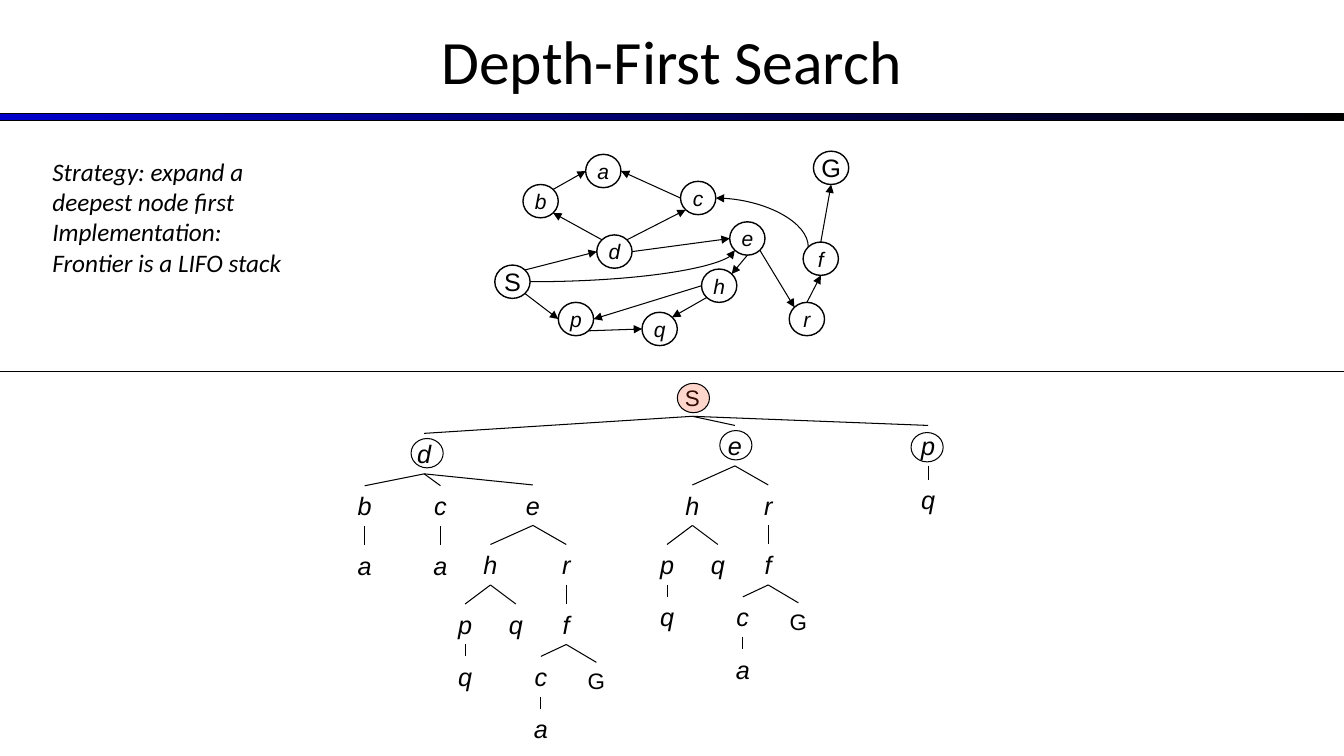
from math import cos, radians, sin

from lxml import etree
from pptx import Presentation
from pptx import util as u
from pptx.dml.color import RGBColor
from pptx.enum import shapes, text
from pptx.oxml.ns import qn

COLORS = {"ink": "000000", "bar": "0000CC", "start": "FF3300"}
WIDTH, HEIGHT = 33.87, 19.05

TITLE = "Depth-First Search"
STRATEGY = [
    "Strategy: expand a deepest node first",
    "Implementation: Frontier is a LIFO stack",
]

NODE_W, NODE_H = 0.89, 0.84
GRAPH_NODES = {
    "S": (12.47, 6.68), "G": (20.5, 3.81), "d": (15.04, 5.92), "b": (13.18, 4.65),
    "p": (14.07, 7.62), "q": (16.18, 7.87), "c": (17.15, 4.57), "e": (18.39, 5.59),
    "h": (17.68, 6.78), "a": (14.76, 3.89), "f": (20.24, 6.1), "r": (19.89, 7.62),
}
SITES = ["top", "top left", "left", "bottom left",
         "bottom", "bottom right", "right", "top right"]
STRAIGHT_EDGES = [
    ("S", "bottom right", "p", "left"),
    ("p", "bottom right", "q", "left"),
    ("h", "bottom left", "q", "top right"),
    ("h", "left", "p", "right"),
    ("e", "bottom", "h", "top right"),
    ("e", "bottom right", "r", "top left"),
    ("r", "top", "f", "bottom"),
    ("f", "top", "G", "bottom"),
    ("S", "top right", "d", "left"),
    ("d", "top left", "b", "bottom right"),
    ("b", "top right", "a", "left"),
    ("c", "left", "a", "right"),
    ("d", "top right", "c", "bottom left"),
    ("d", "right", "e", "left"),
]
CURVED_EDGES = [
    ("c", "right", "f", "top left", "headEnd"),
    ("S", "right", "e", "bottom left", "tailEnd"),
]

E_BRANCHES = [
    ("h", -1.07, 1.5, [
        ("p", -0.64, 1.5, [("q", 0, 1.32, [])]),
        ("q", 0.64, 1.5, []),
    ]),
    ("r", 0.84, 1.5, [
        ("f", 0, 1.5, [
            ("c", -0.64, 1.32, [("a", 0, 1.32, [])]),
            ("G", 0.76, 1.47, []),
        ]),
    ]),
]
SEARCH_TREE = ("S", 17.45, 9.55, [
    ("d", -6.76, 1.37, [
        ("b", -1.5, 1.32, [("a", 0, 1.5, [])]),
        ("c", 0.41, 1.32, [("a", 0, 1.5, [])]),
        ("e", 2.74, 1.3, E_BRANCHES),
    ]),
    ("e", 1.07, 1.17, E_BRANCHES),
    ("p", 5.94, 1.17, [("q", 0, 1.37, [])]),
])
TREE_RINGS = {"S": (17.07, 9.66), "d": (10.36, 11.05),
              "e": (18.14, 10.85), "p": (22.96, 10.9)}


def color(name):
    return RGBColor.from_string(COLORS[name])


def style(paragraph, size, font="Arial", italic=False, align=text.PP_ALIGN.CENTER):
    paragraph.alignment = align
    paragraph.font.size = u.Pt(size)
    paragraph.font.name = font
    paragraph.font.italic = italic
    paragraph.font.color.rgb = color("ink")


def outlined(kind, left, top, width, height, weight):
    shape = slide.shapes.add_shape(kind, u.Cm(left), u.Cm(top), u.Cm(width), u.Cm(height))
    shape.shadow.inherit = False
    shape.fill.background()
    shape.line.color.rgb = color("ink")
    shape.line.width = u.Pt(weight)
    return shape


def connect(start, end, kind=shapes.MSO_CONNECTOR.STRAIGHT, arrow=None):
    line = slide.shapes.add_connector(kind, *(u.Cm(v) for v in (*start, *end)))
    line.line.color.rgb = color("ink")
    line.line.width = u.Pt(0.75)
    if arrow:
        etree.SubElement(line.line._get_or_add_ln(), qn(f"a:{arrow}"), type="triangle")
    etree.SubElement(line._element.spPr, qn("a:effectLst"))
    return line


def site_point(node, site):
    left, top = GRAPH_NODES[node]
    angle = radians(90 + 45 * SITES.index(site))
    return (left + NODE_W / 2 * (1 + cos(angle)), top + NODE_H / 2 * (1 - sin(angle)))


def graph_edge(origin, origin_site, target, target_site, arrow="tailEnd",
               kind=shapes.MSO_CONNECTOR.STRAIGHT):
    edge = connect(site_point(origin, origin_site), site_point(target, target_site),
                   kind, arrow)
    joints = edge._element.nvCxnSpPr.cNvCxnSpPr
    for tag, node, site in (("stCxn", origin, origin_site), ("endCxn", target, target_site)):
        etree.SubElement(joints, qn(f"a:{tag}"), id=str(circles[node].shape_id),
                         idx=str(SITES.index(site)))
    return edge


def draw_tree(label, x, top, branches):
    goal_or_start = label.isupper()
    width, height, size = (2.11, 0.94, 16) if goal_or_start else (1.07, 1.02, 18)
    box = slide.shapes.add_textbox(u.Cm(x - width / 2), u.Cm(top), u.Cm(width), u.Cm(height))
    box.text_frame.word_wrap = True
    box.text_frame.text = label
    style(box.text_frame.paragraphs[0], size, italic=not goal_or_start)
    for child, dx, dy, grandchildren in branches:
        connect((x, top + height), (x + dx, top + dy))
        draw_tree(child, x + dx, top + dy, grandchildren)


deck = Presentation()
deck.slide_width, deck.slide_height = u.Cm(WIDTH), u.Cm(HEIGHT)
slide = deck.slides.add_slide(deck.slide_layouts[5])

bar = outlined(shapes.MSO_SHAPE.RECTANGLE, 0, 2.87, WIDTH, 0.18, 0.75)
bar.fill.gradient()
bar.fill.gradient_angle = 0
for stop, name in zip(bar.fill.gradient_stops, ("bar", "ink")):
    stop.color.rgb = color(name)

title = slide.shapes.title
title.left, title.top, title.width, title.height = (
    u.Cm(v) for v in (0, -0.08, WIDTH, 3.18))
title.text_frame.text = TITLE
title.text_frame.vertical_anchor = text.MSO_ANCHOR.MIDDLE
style(title.text_frame.paragraphs[0], 44, "Calibri")

draw_tree(*SEARCH_TREE)

circles = {}
for label, (left, top) in GRAPH_NODES.items():
    circle = outlined(shapes.MSO_SHAPE.FLOWCHART_CONNECTOR, left, top, NODE_W, NODE_H, 1)
    frame = circle.text_frame
    frame.margin_left = frame.margin_right = frame.margin_top = frame.margin_bottom = 0
    frame.word_wrap = False
    frame.vertical_anchor = text.MSO_ANCHOR.MIDDLE
    frame.text = label
    style(frame.paragraphs[0], 18 if label.isupper() else 15, italic=label.islower())
    circles[label] = circle

for edge in STRAIGHT_EDGES:
    graph_edge(*edge)
for edge in CURVED_EDGES:
    curve = graph_edge(*edge, kind=shapes.MSO_CONNECTOR.CURVE)
    curve._element.spPr.find(qn("a:prstGeom")).set("prst", "curvedConnector2")

connect((0, 9.37), (WIDTH, 9.37))

for label, (left, top) in TREE_RINGS.items():
    ring = outlined(shapes.MSO_SHAPE.OVAL, left, top, 0.81, 0.74, 0.75)
    if label == "S":
        ring.fill.solid()
        ring.fill.fore_color.rgb = color("start")
        tint = ring._element.spPr.find(qn("a:solidFill"))[0]
        etree.SubElement(tint, qn("a:alpha"), val="20000")

strategy = slide.shapes.add_textbox(u.Cm(1.07), u.Cm(3.81), u.Cm(6.32), u.Cm(3.71)).text_frame
strategy.word_wrap = True
strategy.text = "\n".join(STRATEGY)
for paragraph in strategy.paragraphs:
    style(paragraph, 18, "Calibri", True, text.PP_ALIGN.LEFT)

deck.save("out.pptx")
